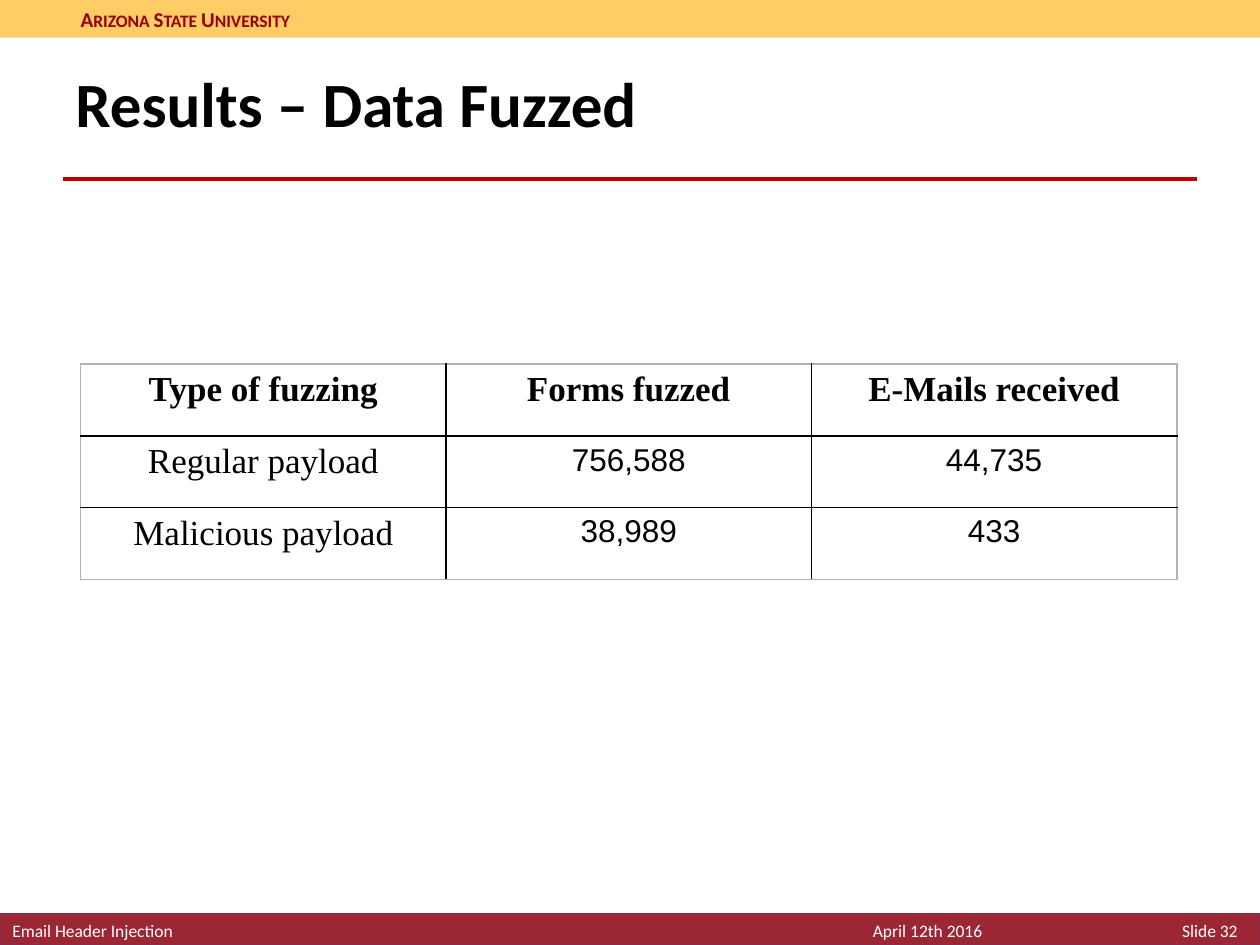
import pptx
import pptx.util
import pptx.dml.color
import pptx.enum.shapes
import pptx.enum.text
import pptx.oxml.ns
import lxml.etree

Inches = pptx.util.Inches
Pt = pptx.util.Pt
RGBColor = pptx.dml.color.RGBColor
ALIGN = pptx.enum.text.PP_ALIGN
ANCHOR = pptx.enum.text.MSO_ANCHOR

BLACK = RGBColor(0x00, 0x00, 0x00)
WHITE = RGBColor(0xFF, 0xFF, 0xFF)
GOLD = RGBColor(0xFF, 0xCC, 0x66)
MAROON = RGBColor(0x9A, 0x27, 0x33)
MAROON_EDGE = RGBColor(0x8F, 0x29, 0x4C)
DARK_RED = RGBColor(0x99, 0x00, 0x00)
RULE_RED = RGBColor(0xC0, 0x00, 0x00)
GRAY = RGBColor(0xB2, 0xB2, 0xB2)


def add_text(left, top, width, height, text, size, color, bold=False,
             align=ALIGN.LEFT, anchor=ANCHOR.TOP):
    box = slide.shapes.add_textbox(Inches(left), Inches(top), Inches(width), Inches(height))
    frame = box.text_frame
    frame.word_wrap = True
    frame.vertical_anchor = anchor
    frame.text = text
    paragraph = frame.paragraphs[0]
    paragraph.alignment = align
    font = paragraph.runs[0].font
    font.name, font.size, font.bold = "Calibri", Pt(size), bold
    font.color.rgb = color


def add_border(cell, side, color):
    properties = cell._tc.get_or_add_tcPr()
    qn = pptx.oxml.ns.qn
    line = lxml.etree.SubElement(properties, qn(f"a:ln{side}"), w=str(Pt(1)))
    fill = lxml.etree.SubElement(line, qn("a:solidFill"))
    lxml.etree.SubElement(fill, qn("a:srgbClr"), val=str(color))


presentation = pptx.Presentation()
presentation.slide_width = Inches(10)
presentation.slide_height = Inches(7.5)
slide = presentation.slides.add_slide(presentation.slide_layouts[6])

# Header and footer bands
bands = []
for top, height, color, edge in [(7.25, 0.25, MAROON, MAROON_EDGE), (0, 0.3, GOLD, None)]:
    band = slide.shapes.add_shape(pptx.enum.shapes.MSO_SHAPE.RECTANGLE,
                                  Inches(0), Inches(top), Inches(10), Inches(height))
    band.shadow.inherit = False
    band.fill.solid()
    band.fill.fore_color.rgb = color
    if edge is None:
        band.line.fill.background()
    else:
        band.line.color.rgb = edge
        band.line.width = Pt(0.75)
    bands.append(band)

# University name in small capitals: larger initials, smaller remainders
header_frame = bands[1].text_frame
header_frame.margin_left = Inches(0.64)
header_frame.margin_top = header_frame.margin_bottom = 0
header_frame.vertical_anchor = ANCHOR.MIDDLE
header_paragraph = header_frame.paragraphs[0]
header_paragraph.alignment = ALIGN.LEFT
for initial, remainder in [("A", "RIZONA "), ("S", "TATE "), ("U", "NIVERSITY")]:
    for text, size in [(initial, 12), (remainder, 10)]:
        run = header_paragraph.add_run()
        run.text = text
        run.font.name, run.font.size, run.font.bold = "Calibri", Pt(size), True
        run.font.color.rgb = DARK_RED

# Title and the rule below it
add_text(0.5, 0.3, 9, 1.03, "Results – Data Fuzzed", 36, BLACK, bold=True, anchor=ANCHOR.MIDDLE)
rule = slide.shapes.add_connector(pptx.enum.shapes.MSO_CONNECTOR.STRAIGHT,
                                  Inches(0.5), Inches(1.42), Inches(9.5), Inches(1.42))
rule.line.color.rgb = RULE_RED
rule.line.width = Pt(2.25)
lxml.etree.SubElement(rule._element.spPr, pptx.oxml.ns.qn("a:effectLst"))

# Results table: gray outer frame, black inner grid
rows = [
    ("Type of fuzzing", "Forms fuzzed", "E-Mails received"),
    ("Regular payload", "756,588", "44,735"),
    ("Malicious payload", "38,989", "433"),
]
last = len(rows) - 1
table = slide.shapes.add_table(3, 3, Inches(0.64), Inches(2.89), Inches(8.7), Inches(1.71)).table
table.first_row = table.horz_banding = False
for row_index, row in enumerate(rows):
    table.rows[row_index].height = Inches(0.57)
    for column_index, text in enumerate(row):
        is_number = row_index > 0 and column_index > 0
        cell = table.cell(row_index, column_index)
        cell.text = text
        cell.margin_top = Inches(0.1)
        paragraph = cell.text_frame.paragraphs[0]
        paragraph.alignment = ALIGN.CENTER
        paragraph.line_spacing = 0.8
        font = paragraph.runs[0].font
        font.name = "Arial" if is_number else "Times New Roman"
        font.size = Pt(18 if is_number else 20)
        font.bold = row_index == 0
        font.color.rgb = BLACK
        for side, is_outer in [("L", column_index == 0), ("R", column_index == last),
                               ("T", row_index == 0), ("B", row_index == last)]:
            add_border(cell, side, GRAY if is_outer else BLACK)
        cell.fill.background()

# Footer text
add_text(6.83, 7.25, 1.83, 0.27, "April 12th 2016", 10, WHITE)
add_text(0, 7.25, 4.83, 0.25, "Email Header Injection", 10, WHITE)
add_text(9, 7.25, 0.92, 0.33, "Slide 32", 10, WHITE, align=ALIGN.RIGHT)

presentation.save("out.pptx")
